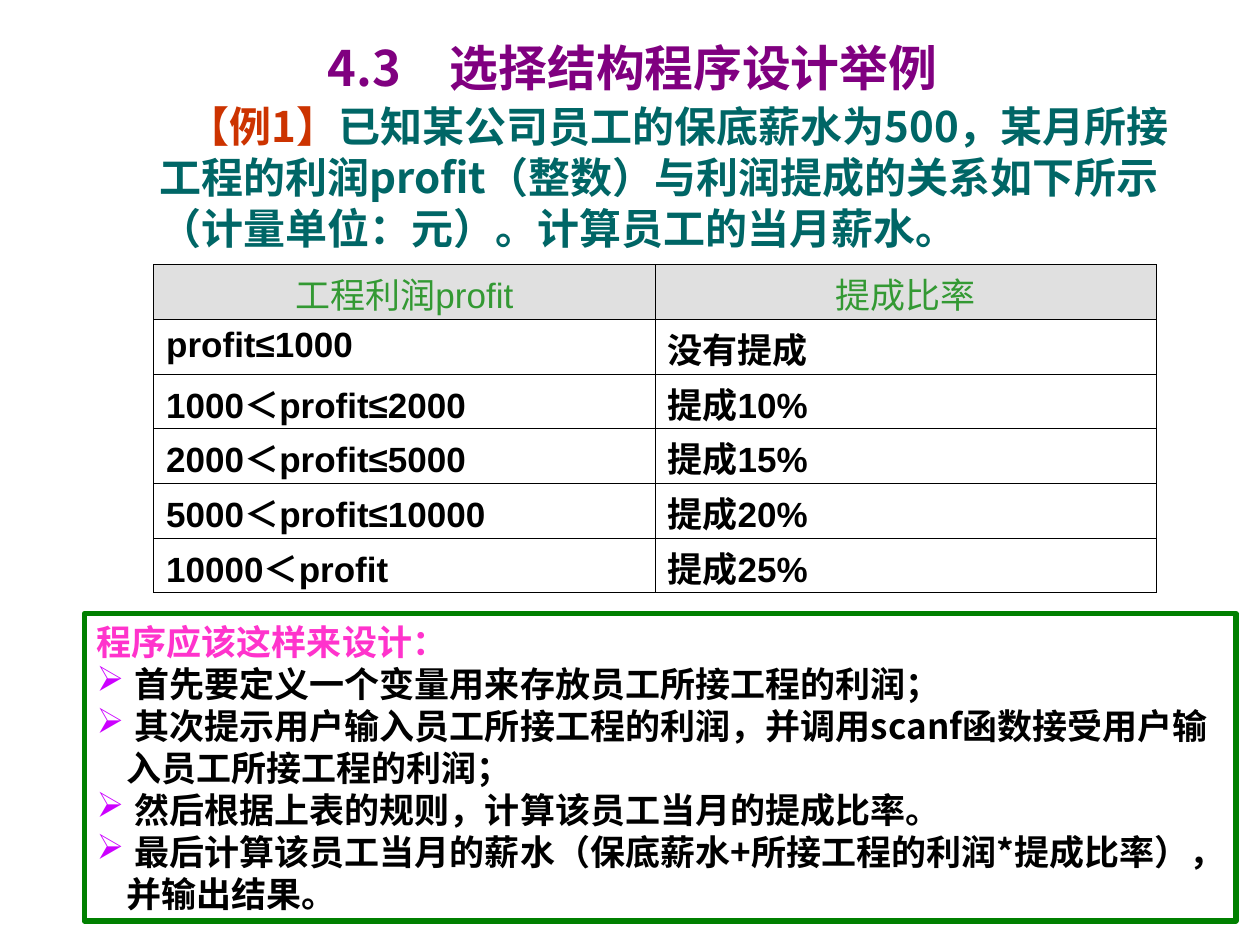
from lxml import etree
from pptx import Presentation
from pptx.dml.color import RGBColor
from pptx.enum.shapes import MSO_SHAPE
from pptx.enum.text import MSO_ANCHOR, MSO_AUTO_SIZE, PP_ALIGN
from pptx.oxml.ns import qn
from pptx.util import Pt

RECTANGLE = MSO_SHAPE.RECTANGLE
MIDDLE, TOP = MSO_ANCHOR.MIDDLE, MSO_ANCHOR.TOP
NO_FIT = MSO_AUTO_SIZE.NONE
LEFT, CENTER = PP_ALIGN.LEFT, PP_ALIGN.CENTER

CJK, LATIN = "Noto Sans CJK SC", "Arial"
THEME = {
    "title": {"name": CJK, "size": Pt(27.9), "bold": True, "color": "800080"},
    "example": {"name": CJK, "size": Pt(24), "bold": True, "color": "CC3300"},
    "problem": {"name": CJK, "size": Pt(24), "bold": True, "color": "006666"},
    "header": {"name": LATIN, "size": Pt(20), "bold": False, "color": "339933"},
    "cell": {"name": LATIN, "size": Pt(20), "bold": True, "color": "000000"},
    "lead": {"name": CJK, "size": Pt(20), "bold": True, "color": "FF33CC"},
    "step": {"name": CJK, "size": Pt(20), "bold": True, "color": "000000"},
    "bullet": "CC00FF",
    "header_fill": "E0E0E0",
    "grid": "000000",
    "frame": "008000",
}
FRAME_FORMAT = {"word_wrap": True, "auto_size": NO_FIT, "vertical_anchor": MIDDLE,
                "margin_left": Pt(7.2), "margin_right": Pt(7.2),
                "margin_top": Pt(3.6), "margin_bottom": Pt(3.6)}


def add_run(paragraph, text, style):
    run = paragraph.add_run()
    run.text = text
    for attribute, value in THEME[style].items():
        if attribute == "color":
            run.font.color.rgb = RGBColor.from_string(value)
        else:
            setattr(run.font, attribute, value)
    east_asian = etree.SubElement(run.font._element, qn("a:ea"))
    east_asian.set("typeface", CJK)


def apply_format(target, values):
    for attribute, value in values.items():
        setattr(target, attribute, value)


presentation = Presentation()
apply_format(presentation, {"slide_width": Pt(720), "slide_height": Pt(540)})
slide = presentation.slides.add_slide(presentation.slide_layouts[5])

# Section title
title = slide.shapes.title
apply_format(title, {"left": Pt(25.2), "top": Pt(20.2), "width": Pt(672.5), "height": Pt(41.8)})
apply_format(title.text_frame, FRAME_FORMAT)
heading = title.text_frame.paragraphs[0]
apply_format(heading, {"alignment": CENTER, "line_spacing": 0.8})
add_run(heading, "4.3　选择结构程序设计举例", "title")

# Problem statement
problem = slide.shapes.add_textbox(Pt(48.2), Pt(54), Pt(646.6), Pt(93.6))
apply_format(problem.text_frame, FRAME_FORMAT)
statement = problem.text_frame.paragraphs[0]
apply_format(statement, {"alignment": LEFT, "line_spacing": Pt(29)})
statement_properties = statement._p.get_or_add_pPr()
statement_properties.set("marL", str(Pt(36)))
statement_properties.set("indent", str(Pt(16)))
add_run(statement, "【例1】", "example")
add_run(statement, "已知某公司员工的保底薪水为500，某月所接工程的利润profit（整数）与"
                   "利润提成的关系如下所示（计量单位：元）。计算员工的当月薪水。", "problem")

# Commission table
rates = [
    ("工程利润profit", "提成比率"),
    ("profit≤1000", "没有提成"),
    ("1000＜profit≤2000", "提成10%"),
    ("2000＜profit≤5000", "提成15%"),
    ("5000＜profit≤10000", "提成20%"),
    ("10000＜profit", "提成25%"),
]
ROW_HEIGHT = Pt(31.25)
rate_table = slide.shapes.add_table(len(rates), 2, Pt(87.8), Pt(151.2), Pt(573),
                                    ROW_HEIGHT * len(rates)).table
apply_format(rate_table, {"first_row": False, "horz_banding": False})
for row_index, row_texts in enumerate(rates):
    rate_table.rows[row_index].height = ROW_HEIGHT
    for column_index, cell_text in enumerate(row_texts):
        cell = rate_table.cell(row_index, column_index)
        is_header = row_index == 0
        # Latin-only text sits higher in its row
        top_margin = Pt(2) if cell_text.isascii() or cell_text == "profit≤1000" else Pt(7)
        apply_format(cell, {"vertical_anchor": TOP, "margin_left": Pt(7.2), "margin_right": Pt(7.2),
                            "margin_top": top_margin, "margin_bottom": Pt(0)})
        entry = cell.text_frame.paragraphs[0]
        apply_format(entry, {"alignment": CENTER if is_header else LEFT, "line_spacing": Pt(24)})
        add_run(entry, cell_text, "header" if is_header else "cell")

        cell_properties = cell._tc.get_or_add_tcPr()
        for side in ("lnL", "lnR", "lnT", "lnB"):
            border = etree.SubElement(cell_properties, qn(f"a:{side}"), w=str(Pt(0.45)))
            border_fill = etree.SubElement(border, qn("a:solidFill"))
            etree.SubElement(border_fill, qn("a:srgbClr"), val=THEME["grid"])
        if is_header:
            cell.fill.solid()
            cell.fill.fore_color.rgb = RGBColor.from_string(THEME["header_fill"])
        else:
            cell.fill.background()

# Framed design steps
design = slide.shapes.add_shape(RECTANGLE, Pt(48.2), Pt(350.6), Pt(658.1), Pt(175.7))
design.shadow.inherit = False
design.fill.background()
design.line.color.rgb = RGBColor.from_string(THEME["frame"])
design.line.width = Pt(3)
apply_format(design.text_frame, {**FRAME_FORMAT, "margin_right": Pt(12)})

lead = design.text_frame.paragraphs[0]
apply_format(lead, {"alignment": LEFT, "line_spacing": Pt(24)})
add_run(lead, "程序应该这样来设计：", "lead")

steps = [
    "首先要定义一个变量用来存放员工所接工程的利润；",
    "其次提示用户输入员工所接工程的利润，并调用scanf函数接受用户输入员工所接工程的利润；",
    "然后根据上表的规则，计算该员工当月的提成比率。",
    "最后计算该员工当月的薪水（保底薪水+所接工程的利润*提成比率），并输出结果。",
]
for step_text in steps:
    step = design.text_frame.add_paragraph()
    apply_format(step, {"alignment": LEFT, "line_spacing": Pt(24)})
    step_properties = step._p.get_or_add_pPr()
    step_properties.set("marL", str(Pt(17)))
    step_properties.set("indent", str(Pt(-17)))
    bullet_color = etree.SubElement(step_properties, qn("a:buClr"))
    etree.SubElement(bullet_color, qn("a:srgbClr"), val=THEME["bullet"])
    etree.SubElement(step_properties, qn("a:buChar"), char="➢")
    add_run(step, " " + step_text, "step")

presentation.save("out.pptx")
